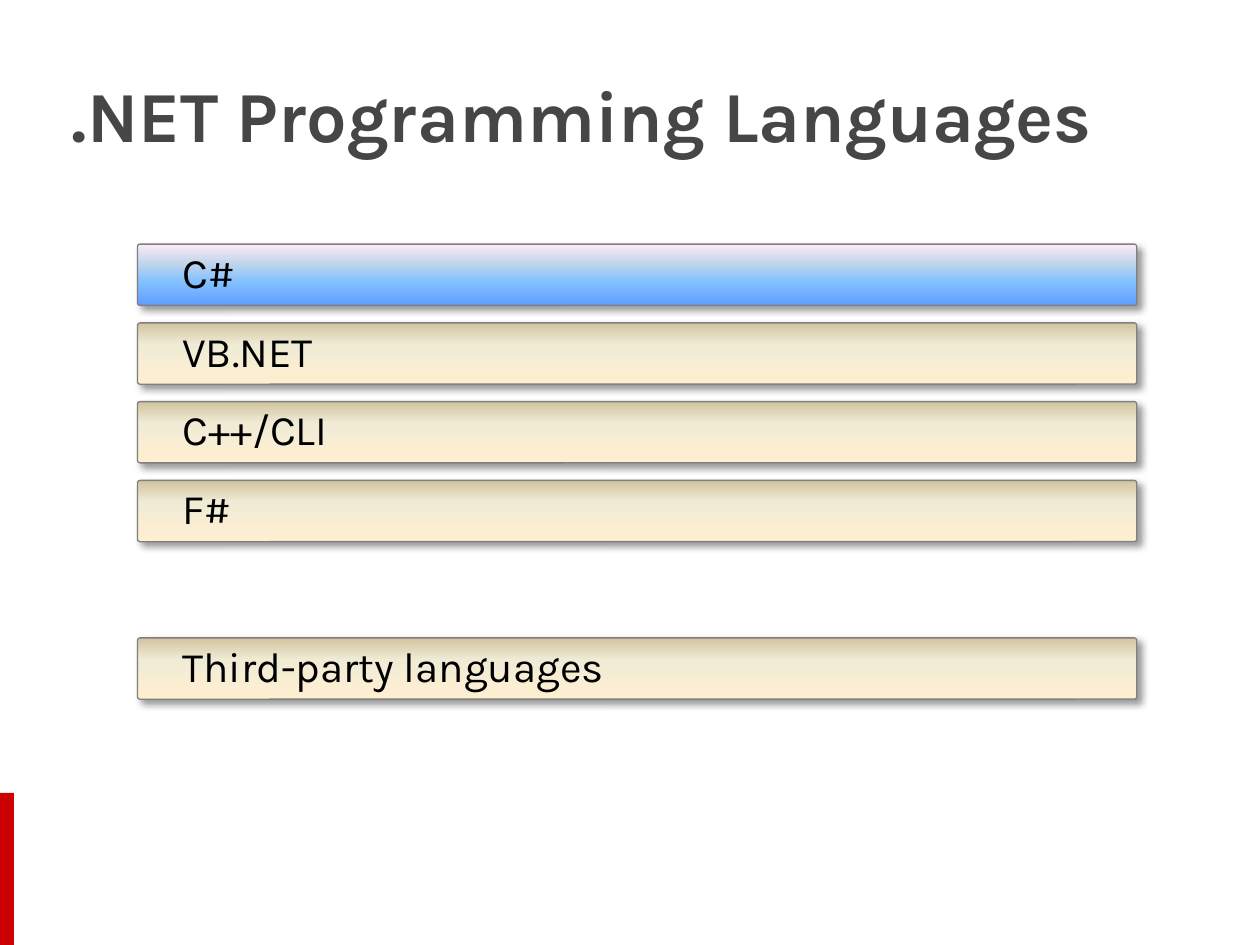
from lxml import etree
from pptx import Presentation
from pptx.dml.color import RGBColor
from pptx.enum.shapes import MSO_SHAPE as SHAPE
from pptx.enum.text import MSO_ANCHOR as ANCHOR, MSO_AUTO_SIZE as AUTO, PP_ALIGN as ALIGN
from pptx.oxml.ns import qn
from pptx.util import Pt

SAND = [(0, "FFEFD1"), (65, "F0EBD5"), (100, "D1C39F")]
BLUE = [(0, "5E9EFF"), (40, "85C2FF"), (70, "C4D6EB"), (100, "FFEBFA")]


def rgb(value):
    return RGBColor.from_string(value)


def set_text(s, text, size, color, bold=False, spacing=1.0, wrap=True,
             insets=(7.2, 3.6, 7.2, 3.6)):
    tf = s.text_frame
    tf.auto_size, tf.word_wrap = AUTO.NONE, wrap
    tf.vertical_anchor = ANCHOR.MIDDLE
    tf.margin_left, tf.margin_top, tf.margin_right, tf.margin_bottom = map(Pt, insets)
    p = tf.paragraphs[0]
    p.alignment, p.line_spacing = ALIGN.LEFT, spacing
    r = p.add_run()
    r.text = text
    r.font.name, r.font.size, r.font.bold = "Karla", Pt(size), bold
    r.font.color.rgb = rgb(color)


prs = Presentation()
prs.slide_width, prs.slide_height = Pt(720), Pt(540)
slide = prs.slides.add_slide(prs.slide_layouts[5])
shapes = slide.shapes

# Title
title = shapes.title
title.left, title.top, title.width, title.height = Pt(33.8), Pt(21.6), Pt(650), Pt(87)
set_text(title, ".NET Programming Languages", 41, "464646", bold=True)

# Red accent in the lower left corner
accent = shapes.add_shape(SHAPE.RECTANGLE, Pt(0), Pt(453), Pt(8), Pt(87))
accent.shadow.inherit = False
accent.fill.solid()
accent.fill.fore_color.rgb = rgb("CC0000")
accent.line.fill.background()

# Language bars: row number on an even grid, label, gradient
bars = [(0, "C#", BLUE), (1, "VB.NET", SAND), (2, "C++/CLI", SAND),
        (3, "F#", SAND), (5, "Third-party languages", SAND)]
for row, label, stops in bars:
    s = shapes.add_shape(SHAPE.ROUNDED_RECTANGLE, Pt(78.6), Pt(139.5 + 45 * row),
                         Pt(571), Pt(35))
    s.adjustments[0] = 0.04
    s.line.color.rgb = rgb("808080")
    s.line.width = Pt(0.75)

    # Gradient running from bottom to top
    s.fill.gradient()
    s.fill.gradient_angle = 90
    gs_list = s._element.spPr.find(".//" + qn("a:gsLst"))
    for gs in list(gs_list):
        gs_list.remove(gs)
    for pos, color in stops:
        gs = etree.SubElement(gs_list, qn("a:gs"), pos=str(pos * 1000))
        etree.SubElement(gs, qn("a:srgbClr"), val=color)

    # Soft shadow to the lower right
    s.shadow.inherit = False
    effects = s._element.spPr.find(qn("a:effectLst"))
    shadow = etree.SubElement(effects, qn("a:outerShdw"), blurRad=str(Pt(4)),
                              dist=str(Pt(3)), dir="2700000", algn="tl",
                              rotWithShape="0")
    shade = etree.SubElement(shadow, qn("a:srgbClr"), val="000000")
    etree.SubElement(shade, qn("a:alpha"), val="40000")

    set_text(s, label, 24, "000000", spacing=0.9, wrap=False,
             insets=(25.2, 3, 7.2, 3))

prs.save("out.pptx")
